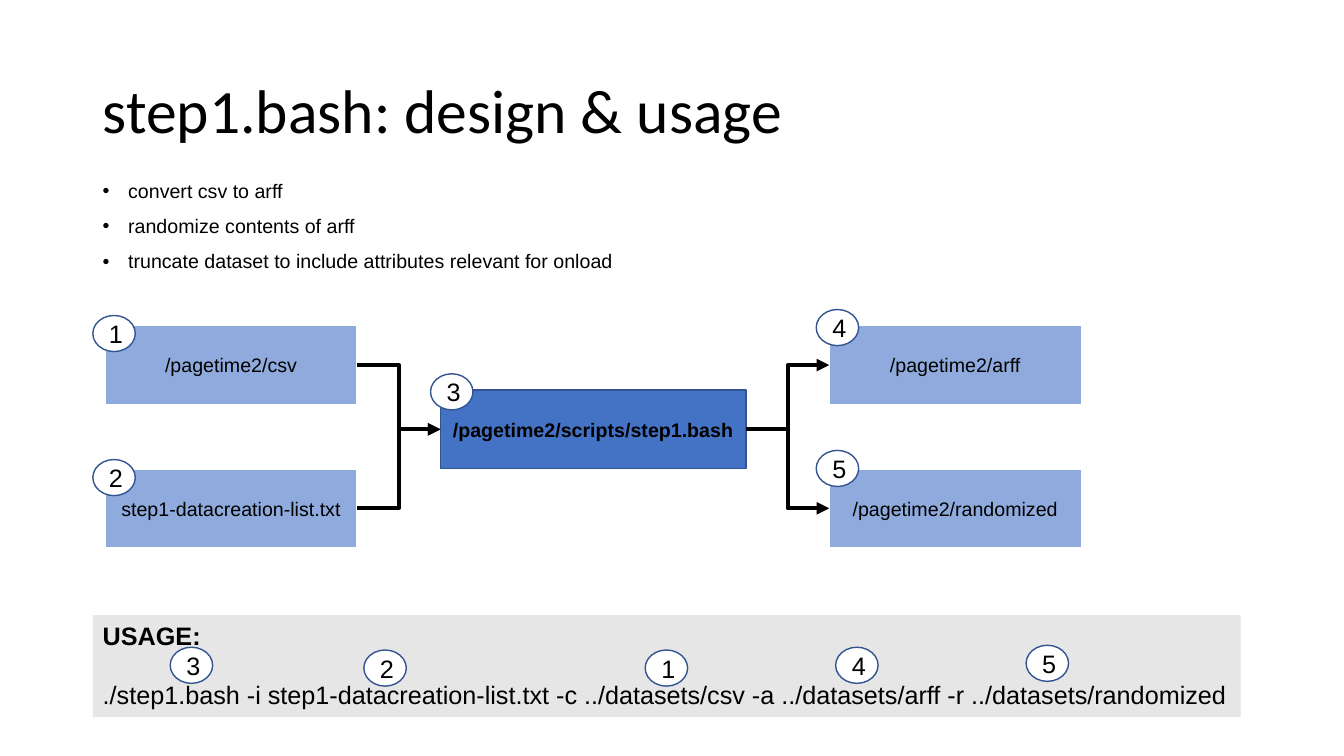
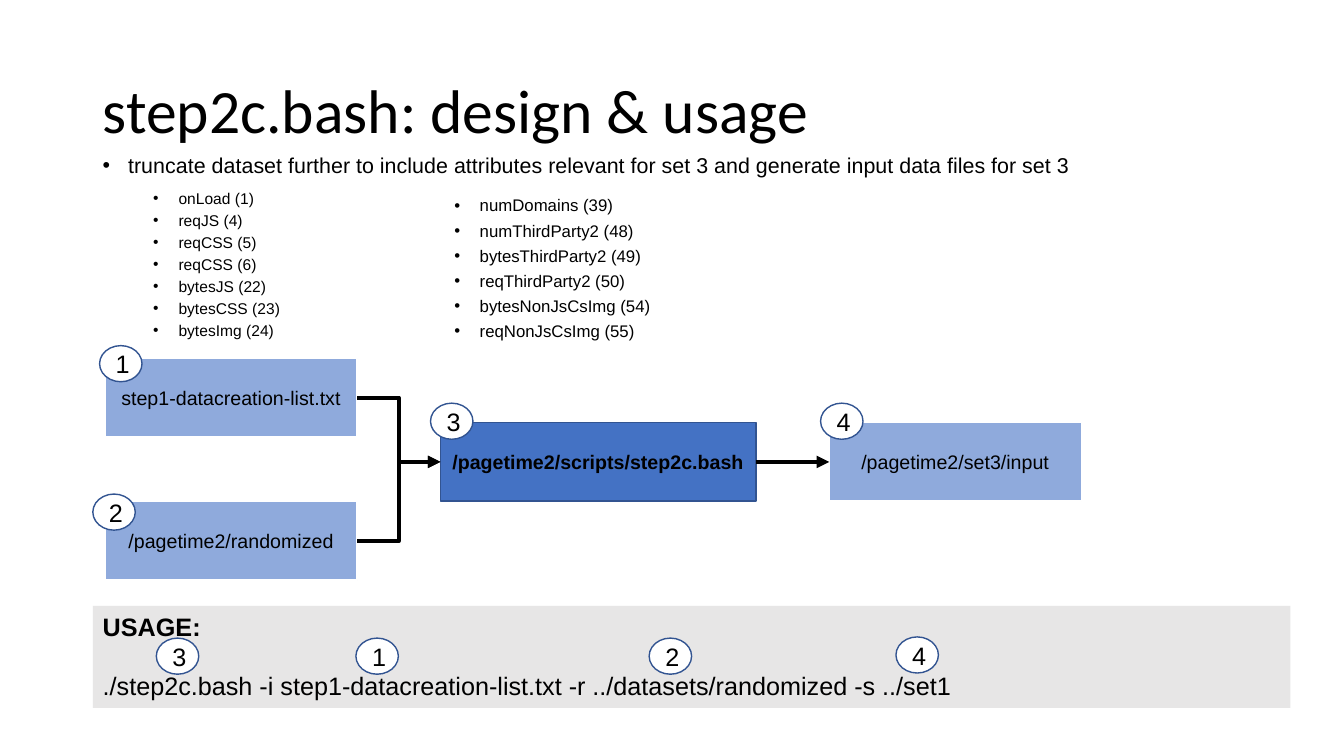
"""Build two slides that show the design and usage of the step1 and step2c scripts."""
from lxml.etree import SubElement
from pptx import Presentation
from pptx.dml.color import RGBColor as RGB
from pptx.enum.shapes import MSO_CONNECTOR as LINK, MSO_SHAPE as SHAPE
from pptx.enum.text import MSO_ANCHOR as ANCHOR, PP_ALIGN as ALIGN
from pptx.oxml.ns import qn
from pptx.util import Cm, Pt

COLORS = {
    "text": "000000",
    "script": "4472C4",
    "folder": "8FAADC",
    "outline": "325491",
    "white": "FFFFFF",
    "usage": "E7E6E6",
}
TITLE = {"name": "Calibri", "size": Pt(44)}
LABEL = {"name": "Arial", "size": Pt(14)}
STRONG = LABEL | {"bold": True}
NUMBER = {"name": "Arial", "size": Pt(18)}
HEADING = NUMBER | {"bold": True}
CENTERED = {"alignment": ALIGN.CENTER}

LEFT = 2.34
INPUT_X, SCRIPT_X, OUTPUT_X = 2.65, 11.1, 20.9
FOLDER_W, BOX_H = 6.35, 1.98
UPPER, LOWER = -1.62, 1.99
BADGE_W, BADGE_H = 1.07, 0.91
BULLET_HANG = 0.64

SLIDES = [
    {
        "title": "step1.bash: design & usage",
        "lists": [
            {"at": (LEFT, 4.45, 27.38, 3.15), "size": 14, "line": 0.9, "before": 10, "indent": 0.64,
             "items": ["convert csv to arff", "randomize contents of arff",
                       "truncate dataset to include attributes relevant for onload"]},
        ],
        "middle": 10.82,
        "script": ("/pagetime2/scripts/step1.bash", 7.7),
        "inputs": [("/pagetime2/csv", UPPER), ("step1-datacreation-list.txt", LOWER)],
        "outputs": [("/pagetime2/arff", UPPER), ("/pagetime2/randomized", LOWER)],
        "usage_at": (LEFT, 15.5, 28.93, 2.57),
        "command": "./step1.bash -i step1-datacreation-list.txt -c ../datasets/csv "
                   "-a ../datasets/arff -r ../datasets/randomized",
        "box_badges": [(1, LEFT, 7.95), (2, LEFT, 11.58), (3, 10.85, 9.42),
                       (4, 20.57, 7.8), (5, 20.57, 11.35)],
        "usage_badges": [(3, 4.29, 16.31), (2, 9.17, 16.38), (1, 16.26, 16.38),
                         (4, 21.06, 16.31), (5, 25.86, 16.26)],
    },
    {
        "title": "step2c.bash: design & usage",
        "lists": [
            {"at": (LEFT, 4.73, 7.49, 4.19), "size": 11.1, "line": 0.8, "before": 5, "indent": 1.91,
             "items": ["onLoad (1)", "reqJS (4)", "reqCSS (5)", "reqCSS (6)",
                       "bytesJS (22)", "bytesCSS (23)", "bytesImg (24)"]},
            {"at": (9.93, 4.85, 7.49, 4.39), "size": 12, "line": 0.9, "before": 5, "indent": 1.91,
             "items": ["numDomains (39)", "numThirdParty2 (48)", "bytesThirdParty2 (49)",
                       "reqThirdParty2 (50)", "bytesNonJsCsImg (54)", "reqNonJsCsImg (55)"]},
            {"at": (LEFT, 3.84, 27.03, 1.02), "size": 15.3, "line": 0.8, "before": 10, "indent": 0.64,
             "items": ["truncate dataset further to include attributes relevant for set 3 "
                       "and generate input data files for set 3"]},
        ],
        "middle": 11.64,
        "script": ("/pagetime2/scripts/step2c.bash", 7.95),
        "inputs": [("step1-datacreation-list.txt", UPPER), ("/pagetime2/randomized", LOWER)],
        "outputs": [("/pagetime2/set3/input", 0)],
        "usage_at": (LEFT, 15.27, 30.18, 2.57),
        "command": "./step2c.bash -i step1-datacreation-list.txt -r ../datasets/randomized -s ../set1",
        "box_badges": [(1, 2.51, 8.71), (2, LEFT, 12.45), (3, 10.85, 10.16), (4, 20.68, 10.16)],
        "usage_badges": [(3, 3.94, 16.08), (1, 8.97, 16.08), (2, 16.36, 16.08), (4, 22.58, 16.05)],
    },
]


def write(paragraph, text, font, layout):
    for key, value in layout.items():
        setattr(paragraph, key, value)
    run = paragraph.add_run()
    run.text = text
    run.font.color.rgb = RGB.from_string(COLORS["text"])
    for key, value in font.items():
        setattr(run.font, key, value)


def add_box(slide, kind, at, fill, outline=None):
    box = slide.shapes.add_shape(kind, *map(Cm, at))
    box.shadow.inherit = False
    box.fill.solid()
    box.fill.fore_color.rgb = RGB.from_string(COLORS[fill])
    if outline:
        box.line.color.rgb = RGB.from_string(COLORS[outline])
        box.line.width = Pt(1)
    else:
        box.line.fill.background()
    box.text_frame.word_wrap = True
    box.text_frame.vertical_anchor = ANCHOR.MIDDLE
    return box


deck = Presentation()
deck.slide_width, deck.slide_height = Cm(33.87), Cm(19.05)

for content in SLIDES:
    slide = deck.slides.add_slide(deck.slide_layouts[5])
    title = slide.shapes.title
    title.left, title.top, title.width, title.height = map(Cm, (LEFT, 1.02, 29.21, 3.68))
    title.text_frame.vertical_anchor = ANCHOR.MIDDLE
    write(title.text_frame.paragraphs[0], content["title"], TITLE,
          {"alignment": ALIGN.LEFT, "line_spacing": 0.9})

    for points in content["lists"]:
        frame = slide.shapes.add_textbox(*map(Cm, points["at"])).text_frame
        frame.word_wrap = True
        for index, item in enumerate(points["items"]):
            point = frame.add_paragraph() if index else frame.paragraphs[0]
            properties = point._p.get_or_add_pPr()
            properties.set("marL", str(Cm(points["indent"])))
            properties.set("indent", str(-Cm(BULLET_HANG)))
            SubElement(properties, qn("a:buFont"), typeface="Arial")
            SubElement(properties, qn("a:buChar"), char="•")
            write(point, item, LABEL | {"size": Pt(points["size"])},
                  {"line_spacing": points["line"], "space_before": Pt(points["before"] if index else 0)})

    top = content["middle"] - BOX_H / 2
    name, width = content["script"]
    script = add_box(slide, SHAPE.RECTANGLE, (SCRIPT_X, top, width, BOX_H), "script", "outline")
    write(script.text_frame.paragraphs[0], name, STRONG, CENTERED)

    flows = []
    for side, x in (("inputs", INPUT_X), ("outputs", OUTPUT_X)):
        for name, offset in content[side]:
            folder = add_box(slide, SHAPE.RECTANGLE, (x, top + offset, FOLDER_W, BOX_H), "folder", "white")
            write(folder.text_frame.paragraphs[0], name, LABEL, CENTERED)
            ends = (folder, script) if side == "inputs" else (script, folder)
            flows.append((*ends, LINK.ELBOW if offset else LINK.STRAIGHT))

    for source, target, route in flows:
        arrow = slide.shapes.add_connector(route, 0, 0, 0, 0)
        arrow.begin_connect(source, 3)
        arrow.end_connect(target, 1)
        arrow.line.color.rgb = RGB.from_string(COLORS["text"])
        arrow.line.width = Pt(3)
        SubElement(arrow.line._get_or_add_ln(), qn("a:tailEnd"), type="triangle")
        SubElement(arrow._element.spPr, qn("a:effectLst"))

    usage = add_box(slide, SHAPE.RECTANGLE, content["usage_at"], "usage").text_frame
    usage.vertical_anchor = ANCHOR.TOP
    write(usage.paragraphs[0], "USAGE:", HEADING, {"alignment": ALIGN.LEFT})
    write(usage.add_paragraph(), content["command"], NUMBER,
          {"alignment": ALIGN.LEFT, "space_before": Pt(21)})

    for number, x, y in content["box_badges"] + content["usage_badges"]:
        badge = add_box(slide, SHAPE.OVAL, (x, y, BADGE_W, BADGE_H), "white", "outline")
        write(badge.text_frame.paragraphs[0], str(number), NUMBER, CENTERED)

deck.save("out.pptx")
